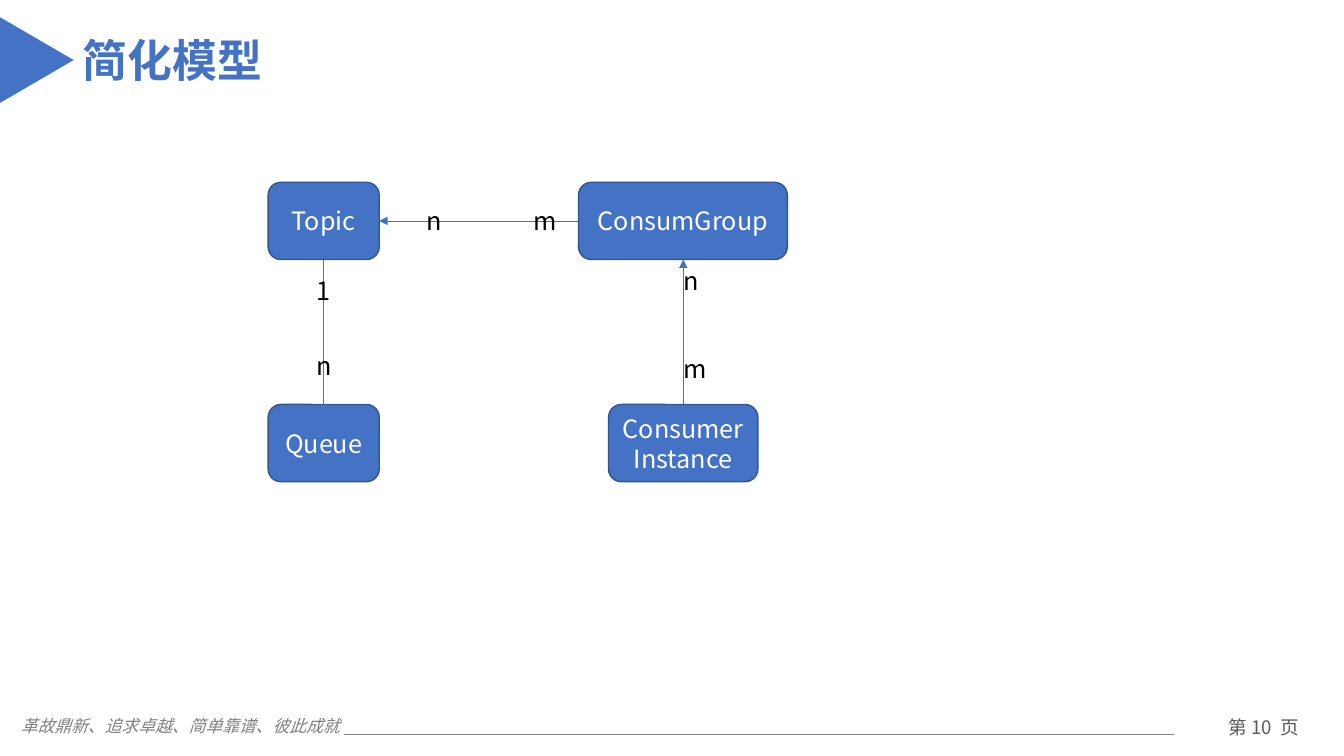
from pptx import Presentation
from pptx.dml.color import RGBColor
from pptx.enum.shapes import MSO_CONNECTOR, MSO_SHAPE
from pptx.enum.text import MSO_ANCHOR, PP_ALIGN
from pptx.oxml.ns import qn
from pptx.util import Pt
from lxml.etree import SubElement

BLUE, BORDER, GREY = "4472C4", "325491", "808080"


def colour(value):
    return RGBColor.from_string(value)


def points(values):
    return [Pt(value) for value in values]


class SlideBuilder:
    def __init__(self, page, font):
        self.page = page
        self.font = font

    def fill_text(self, shape, text, size, ink, align=PP_ALIGN.LEFT,
                  frame_format=None, **font_format):
        frame = shape.text_frame
        for name, value in {"word_wrap": True, **(frame_format or {})}.items():
            setattr(frame, name, value)
        for index, line in enumerate(text.split("\n")):
            para = frame.paragraphs[0] if index == 0 else frame.add_paragraph()
            para.alignment = align
            span = para.add_run()
            span.text = line
            span.font.color.rgb = colour(ink)
            values = {"name": self.font, "size": Pt(size), **font_format}
            for name, value in values.items():
                setattr(span.font, name, value)
            east_asian = SubElement(span.font._element, qn("a:ea"))
            east_asian.set("typeface", values["name"])

    def text(self, bounds, text, size, ink, **options):
        box = self.page.shapes.add_textbox(*points(bounds))
        self.fill_text(box, text, size, ink, **options)

    def shape(self, kind, bounds, fill, border=None):
        shape = self.page.shapes.add_shape(kind, *points(bounds))
        shape.shadow.inherit = False
        shape.fill.solid()
        shape.fill.fore_color.rgb = colour(fill)
        if border:
            shape.line.color.rgb = colour(border)
            shape.line.width = Pt(1)
        else:
            shape.line.fill.background()
        return shape

    def node(self, bounds, text):
        shape = self.shape(MSO_SHAPE.ROUNDED_RECTANGLE, bounds, BLUE, BORDER)
        self.fill_text(shape, text, 18, "FFFFFF", align=PP_ALIGN.CENTER,
                       frame_format={"vertical_anchor": MSO_ANCHOR.MIDDLE})

    def line(self, ends, ink, arrow=False):
        line = self.page.shapes.add_connector(MSO_CONNECTOR.STRAIGHT, *points(ends))
        line.line.color.rgb = colour(ink)
        line.line.width = Pt(0.5)
        properties = line._element.spPr
        if arrow:
            SubElement(properties.find(qn("a:ln")), qn("a:tailEnd"), type="triangle")
        SubElement(properties, qn("a:effectLst"))


deck = Presentation()
deck.slide_width, deck.slide_height = Pt(960), Pt(540)
page = deck.slides.add_slide(deck.slide_layouts[6])
builder = SlideBuilder(page, "Noto Sans CJK SC")

builder.text((859.7, 507.6, 86.4, 28.8), "第 10  页", 13.3, "595959",
             align=PP_ALIGN.CENTER)
builder.text((-95, 507.6, 344.9, 21.6), "革故鼎新、追求卓越、简单靠谱、彼此成就", 12, GREY,
             align=PP_ALIGN.RIGHT, italic=True)
builder.line((245.5, 524.9, 838.8, 524.9), GREY)

title_frame = {"word_wrap": False, "margin_left": Pt(9.4), "margin_right": Pt(9.4),
               "margin_top": Pt(5), "margin_bottom": Pt(5)}
builder.text((49.7, 18.7, 148.3, 48.2), "简化模型", 32, BLUE,
             frame_format=title_frame, name="Arial", bold=True)
marker = builder.shape(MSO_SHAPE.ISOSCELES_TRIANGLE, (-4.3, 16.6, 61.2, 52.6), BLUE)
marker.rotation = 90

UPPER, LOWER, HEIGHT = 130.2, 288.9, 55.2
nodes = [
    ("Topic", 191.5, UPPER, 79.4),
    ("Queue", 191.5, LOWER, 79.4),
    ("ConsumGroup", 413.2, UPPER, 149.2),
    ("Consumer\nInstance", 434.7, LOWER, 106.7),
]
for name, left, top, width in nodes:
    builder.node((left, top, width, HEIGHT), name)

arrows = [
    (231.2, UPPER + HEIGHT, 231.2, 296.6),
    (413.2, 157.8, 270.9, 157.8),
    (488.1, LOWER, 488.1, UPPER + HEIGHT),
]
for ends in arrows:
    builder.line(ends, BLUE, arrow=True)

cardinalities = [
    ("1", 218.9, 193), ("n", 218.9, 246.4),
    ("m", 373.7, 143.3), ("n", 297.4, 143.3),
    ("n", 481, 185.8), ("m", 481, 249.1),
]
for label, left, top in cardinalities:
    width = 29.5 if label == "m" else 24.5
    builder.text((left, top, width, 28.8), label, 18, "000000",
                 frame_format={"word_wrap": False})

deck.save("out.pptx")
